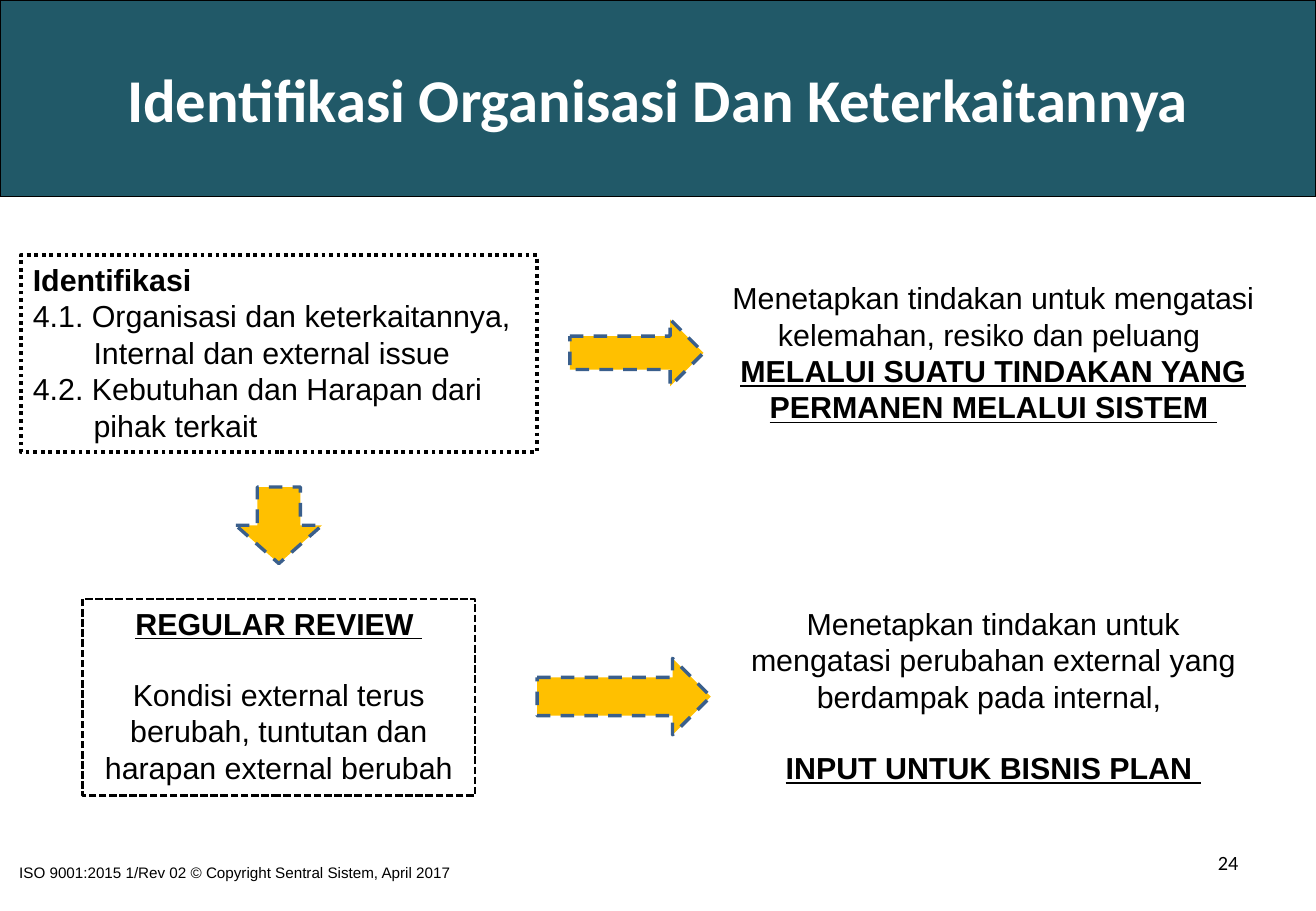
from lxml import etree
from pptx import Presentation
from pptx import util as u
from pptx.dml import color as c
from pptx.enum import dml, shapes, text
from pptx.oxml import ns

PX = 9144
INK, WHITE, TEAL, AMBER, BLUE = "000000", "FFFFFF", "215968", "FFC000", "3A5F8C"
CENTER, LEFT, RIGHT = text.PP_ALIGN.CENTER, text.PP_ALIGN.LEFT, text.PP_ALIGN.RIGHT
STRONG = {"bold": True, "underline": True}
GAP = 20.7


def rgb(value):
    """Turn a hex string into a colour."""
    return c.RGBColor.from_string(value)


def assign(target, formats):
    """Set every attribute named in a dict of format values."""
    for name, value in formats.items():
        setattr(target, name, value)


def within(box, left, top, width, height):
    """Place a part relative to the corner of its region."""
    return box[0] + left, box[1] + top, width, height


def emu(box):
    """Turn a box in px into EMU."""
    return [u.Emu(length * PX) for length in box]


def place(part, box):
    """Move and size a placeholder."""
    assign(part, dict(zip(("left", "top", "width", "height"), emu(box))))


def outline(part, color, width, dash=dml.MSO_LINE.SOLID):
    """Draw the outline of a part."""
    part.line.color.rgb = rgb(color)
    assign(part.line, {"width": u.Pt(width), "dash_style": dash})


def fill(part, color):
    """Fill a part with one colour."""
    part.fill.solid()
    part.fill.fore_color.rgb = rgb(color)


def write(part, lines, align=CENTER, size=18, font="Arial", color=INK,
          anchor=text.MSO_ANCHOR.TOP):
    """Write lines given as (words, font formats, space before)."""
    frame = part.text_frame
    assign(frame, {"word_wrap": True, "auto_size": text.MSO_AUTO_SIZE.NONE,
                   "vertical_anchor": anchor})
    for index, (words, formats, space) in enumerate(lines):
        line = frame.paragraphs[0] if index == 0 else frame.add_paragraph()
        assign(line, {"alignment": align, "space_before": u.Pt(space)})
        run = line.add_run()
        run.text = words
        assign(run.font, {"name": font, "size": u.Pt(size), "bold": False, **formats})
        run.font.color.rgb = rgb(color)


def textbox(slide, box, lines, **style):
    """Add a text box with its lines."""
    part = slide.shapes.add_textbox(*emu(box))
    write(part, lines, **style)


def arrow(slide, box, kind):
    """Add a dashed amber block arrow."""
    part = slide.shapes.add_shape(kind, *emu(box))
    part.shadow.inherit = False
    fill(part, AMBER)
    outline(part, BLUE, 2, dml.MSO_LINE.DASH)


def header(slide, box):
    """Fill the title band."""
    title = slide.shapes.title
    place(title, box)
    fill(title, TEAL)
    outline(title, INK, 0.75)
    write(title, [("Identifikasi Organisasi Dan Keterkaitannya", {"bold": True}, 0)],
          size=36, font="Calibri", color=WHITE, anchor=text.MSO_ANCHOR.MIDDLE)


def identification(slide, box):
    """Lay out the clause list and the action it leads to."""
    clauses = slide.placeholders[1]
    place(clauses, within(box, 17, 0, 425, 162))
    outline(clauses, INK, 2.25, dml.MSO_LINE.ROUND_DOT)
    write(clauses, [
        ("Identifikasi", {"bold": True}, 0),
        ("4.1. Organisasi dan keterkaitannya, Internal dan external issue", {}, 0),
        ("4.2. Kebutuhan dan Harapan dari pihak terkait", {}, 0)], align=LEFT)
    for line, indent in zip(clauses.text_frame.paragraphs, (38, 50, 50)):
        properties = line._p.get_or_add_pPr()
        properties.set("marL", str(indent * PX))
        properties.set("indent", str(-indent * PX))
        etree.SubElement(properties, ns.qn("a:buNone"))
    arrow(slide, within(box, 469, 53, 110, 55), shapes.MSO_SHAPE.RIGHT_ARROW)
    textbox(slide, within(box, 591, 15, 453, 131), [
        ("Menetapkan tindakan untuk mengatasi kelemahan, resiko dan peluang ", {}, 0),
        ("MELALUI SUATU TINDAKAN YANG PERMANEN MELALUI SISTEM ", STRONG, 0)])


def review(slide, box):
    """Lay out the regular review and the action it leads to."""
    condition = slide.shapes.add_shape(shapes.MSO_SHAPE.RECTANGLE,
                                       *emu(within(box, 68, 0, 323, 162)))
    condition.shadow.inherit = False
    condition.fill.background()
    outline(condition, INK, 1.5, dml.MSO_LINE.SQUARE_DOT)
    write(condition, [
        ("REGULAR REVIEW ", STRONG, 0),
        ("Kondisi external terus berubah, tuntutan dan harapan external berubah", {}, GAP)])
    arrow(slide, within(box, 442, 49, 143, 63), shapes.MSO_SHAPE.RIGHT_ARROW)
    textbox(slide, within(box, 601, 0, 433, 162), [
        ("Menetapkan tindakan untuk mengatasi perubahan external yang "
         "berdampak pada internal, ", {}, 0),
        ("INPUT UNTUK BISNIS PLAN ", STRONG, GAP)])


def footer(slide, box):
    """Add the copyright line and the page number."""
    textbox(slide, within(box, 6, 11, 707, 29), [
        ("ISO 9001:2015 1/Rev 02 © Copyright Sentral Sistem, April 2017", {}, 0)],
        align=LEFT, size=9)
    textbox(slide, within(box, 776, 0, 253, 40), [("24", {}, 0)],
            align=RIGHT, size=12, font="Calibri")


def main():
    """Build the slide and save it."""
    deck = Presentation()
    assign(deck, {"slide_width": u.Emu(1083 * PX), "slide_height": u.Emu(750 * PX)})
    slide = deck.slides.add_slide(deck.slide_layouts[1])
    header(slide, (0, 0, 1083, 162))
    identification(slide, (0, 210, 1083, 162))
    arrow(slide, (194, 401, 71, 63), shapes.MSO_SHAPE.DOWN_ARROW)
    review(slide, (0, 493, 1083, 162))
    footer(slide, (0, 695, 1083, 40))
    deck.save("out.pptx")


if __name__ == "__main__":
    main()
